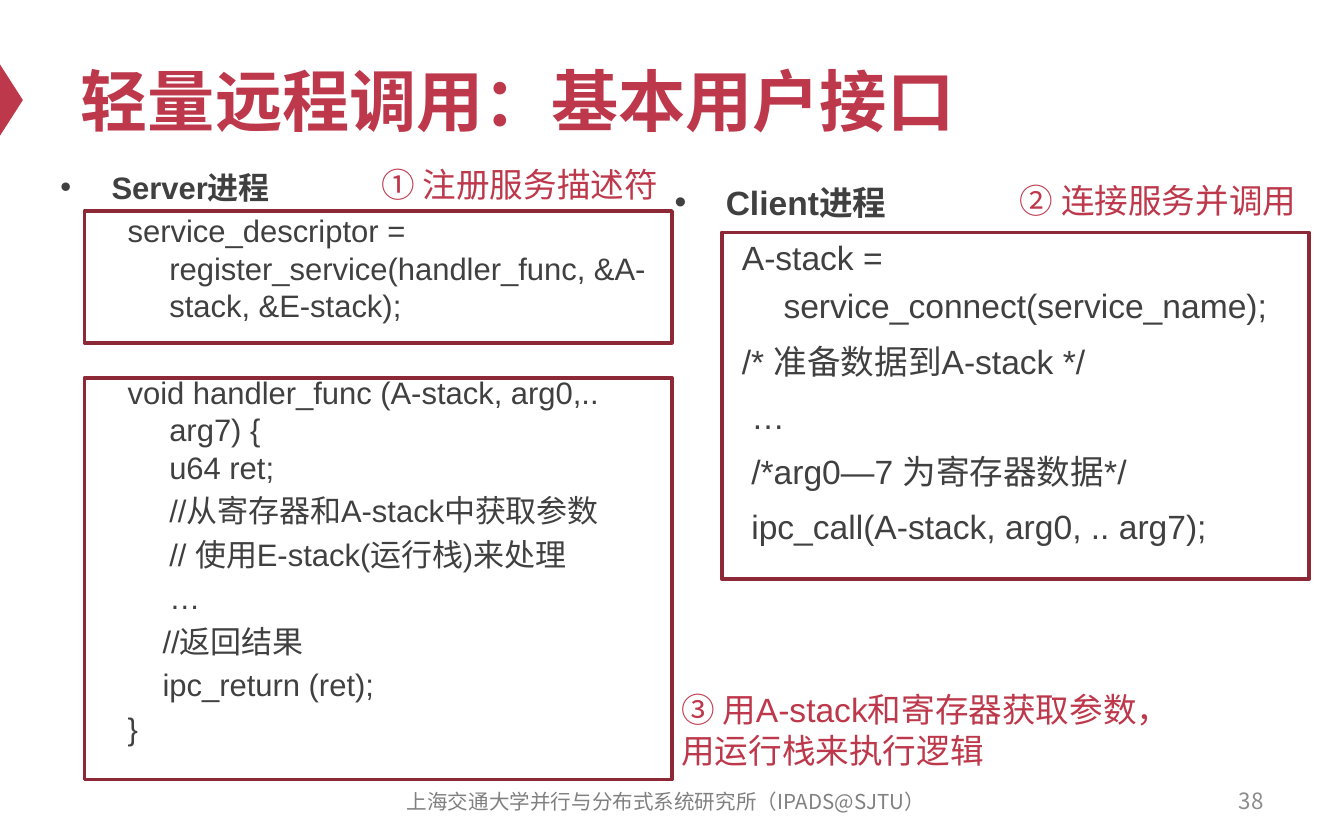
from dataclasses import dataclass

import lxml.etree
import pptx
import pptx.dml.color
import pptx.enum.shapes
import pptx.enum.text
import pptx.oxml.ns
import pptx.util
from pptx.util import Inches

COLORS = {
    "accent": "BE384B",
    "frame": "8D2937",
    "body": "404040",
    "footer": "808080",
    "number": "8C8C8C",
}
LATIN_FONT = "Arial"
CHINESE_FONT = "Noto Sans CJK SC"
ALIGN = pptx.enum.text.PP_ALIGN
ANCHOR = pptx.enum.text.MSO_ANCHOR


@dataclass(frozen=True)
class Box:
    left: float
    top: float
    width: float
    height: float

    def lengths(self) -> tuple:
        return tuple(Inches(v) for v in (self.left, self.top, self.width, self.height))


@dataclass(frozen=True)
class CodeLine:
    text: str
    margin: float = 0.81
    indent: float = -0.31
    extra_space: float = 0


@dataclass(frozen=True)
class Column:
    box: Box
    heading: str
    size: float
    line_height: float
    paragraph_gap: float
    lines: tuple[CodeLine, ...]


@dataclass(frozen=True)
class Label:
    box: Box
    lines: tuple[str, ...]
    size: float = 18
    color: str = "accent"
    font: str = LATIN_FONT
    align: ALIGN = ALIGN.LEFT
    anchor: ANCHOR = ANCHOR.TOP
    wrap: bool = False


COLUMNS = (
    Column(Box(0.35, 1.2, 4.74, 4.8), "Server进程", 16.6, 20, 3.3, (
        CodeLine("service_descriptor = register_service(handler_func, &A-stack, &E-stack);"),
        CodeLine("void handler_func (A-stack, arg0,.. arg7) {\nu64 ret;", extra_space=23.3),
        CodeLine("//从寄存器和A-stack中获取参数", indent=0),
        CodeLine("// 使用E-stack(运行栈)来处理", indent=0),
        CodeLine("…", indent=0),
        CodeLine("//返回结果", margin=0.76, indent=0),
        CodeLine("ipc_return (ret);", margin=0.76, indent=0),
        CodeLine("}"),
    )),
    Column(Box(4.92, 1.24, 4.84, 4.12), "Client进程", 18, 26, 3.6, (
        CodeLine("A-stack = service_connect(service_name);"),
        CodeLine("/* 准备数据到A-stack */"),
        CodeLine("…", margin=0.57, indent=0),
        CodeLine("/*arg0—7 为寄存器数据*/", margin=0.57, indent=0),
        CodeLine("ipc_call(A-stack, arg0, .. arg7);", margin=0.57, indent=0),
    )),
)
FRAMES = (
    Box(0.63, 1.57, 4.37, 0.98),
    Box(5.37, 1.73, 4.37, 2.58),
    Box(0.63, 2.81, 4.37, 2.99),
)
LABELS = (
    Label(Box(2.74, 1.17, 2.29, 0.4), ("① 注册服务描述符",)),
    Label(Box(7.49, 1.29, 2.29, 0.4), ("② 连接服务并调用",)),
    Label(Box(4.97, 5.08, 3.89, 0.71), ("③ 用A-stack和寄存器获取参数，", "用运行栈来执行逻辑")),
    Label(Box(2.79, 5.8, 4.33, 0.33), ("上海交通大学并行与分布式系统研究所（IPADS@SJTU）",),
          11, "footer", CHINESE_FONT, ALIGN.CENTER, ANCHOR.MIDDLE, True),
    Label(Box(7.17, 5.79, 2.33, 0.33), ("38",),
          12, "number", CHINESE_FONT, ALIGN.RIGHT, ANCHOR.MIDDLE, True),
)


def rgb(name: str) -> pptx.dml.color.RGBColor:
    return pptx.dml.color.RGBColor.from_string(COLORS[name])


def place(shape, box: Box) -> None:
    shape.left, shape.top, shape.width, shape.height = box.lengths()


def add_run(paragraph, text: str, size: float, color: str,
            bold: bool = False, font: str = LATIN_FONT) -> None:
    run = paragraph.add_run()
    run.text = text
    run.font.size = pptx.util.Pt(size)
    run.font.bold = bold
    run.font.color.rgb = rgb(color)
    run.font.name = font
    east_asian = lxml.etree.SubElement(run.font._element, pptx.oxml.ns.qn("a:ea"))
    east_asian.set("typeface", CHINESE_FONT)


def set_indent(paragraph, margin: float, indent: float) -> None:
    properties = paragraph._p.get_or_add_pPr()
    properties.set("marL", str(Inches(margin)))
    properties.set("indent", str(Inches(indent)))


def fill_title(shape, text: str) -> None:
    place(shape, Box(0.5, 0.25, 9, 0.98))
    frame = shape.text_frame
    frame.auto_size = pptx.enum.text.MSO_AUTO_SIZE.NONE
    frame.vertical_anchor = ANCHOR.MIDDLE
    paragraph = frame.paragraphs[0]
    paragraph.alignment = ALIGN.LEFT
    add_run(paragraph, text, 36, "accent", bold=True)


def fill_column(shape, column: Column) -> None:
    place(shape, column.box)
    frame = shape.text_frame
    frame.auto_size = pptx.enum.text.MSO_AUTO_SIZE.NONE
    heading = frame.paragraphs[0]
    heading.line_spacing = pptx.util.Pt(column.line_height)
    set_indent(heading, 0.38, -0.38)
    add_run(heading, column.heading, column.size, "body", bold=True)
    for line in column.lines:
        paragraph = frame.add_paragraph()
        paragraph.level = 1
        paragraph.line_spacing = pptx.util.Pt(column.line_height)
        paragraph.space_before = pptx.util.Pt(column.paragraph_gap + line.extra_space)
        set_indent(paragraph, line.margin, line.indent)
        lxml.etree.SubElement(paragraph._p.get_or_add_pPr(), pptx.oxml.ns.qn("a:buNone"))
        for index, part in enumerate(line.text.split("\n")):
            if index:
                paragraph.add_line_break()
            add_run(paragraph, part, column.size, "body")


def add_frame(slide, box: Box) -> None:
    shape = slide.shapes.add_shape(pptx.enum.shapes.MSO_SHAPE.RECTANGLE, *box.lengths())
    shape.shadow.inherit = False
    shape.fill.background()
    shape.line.color.rgb = rgb("frame")
    shape.line.width = pptx.util.Pt(2)


def add_label(slide, label: Label) -> None:
    frame = slide.shapes.add_textbox(*label.box.lengths()).text_frame
    frame.word_wrap = label.wrap
    frame.vertical_anchor = label.anchor
    for index, text in enumerate(label.lines):
        paragraph = frame.add_paragraph() if index else frame.paragraphs[0]
        paragraph.alignment = label.align
        add_run(paragraph, text, label.size, label.color, font=label.font)


def add_title_marker(slide) -> None:
    marker = slide.shapes.add_shape(
        pptx.enum.shapes.MSO_SHAPE.ISOSCELES_TRIANGLE, *Box(-0.18, 0.66, 0.53, 0.17).lengths())
    marker.rotation = 90
    marker.shadow.inherit = False
    marker.fill.solid()
    marker.fill.fore_color.rgb = rgb("accent")
    marker.line.fill.background()


def main() -> None:
    presentation = pptx.Presentation()
    presentation.slide_width = Inches(10)
    presentation.slide_height = Inches(6.25)
    two_content_layout = presentation.slide_layouts[3]
    slide = presentation.slides.add_slide(two_content_layout)
    add_title_marker(slide)
    fill_title(slide.shapes.title, "轻量远程调用：基本用户接口")
    for index, column in enumerate(COLUMNS, start=1):
        fill_column(slide.placeholders[index], column)
    for box in FRAMES:
        add_frame(slide, box)
    for label in LABELS:
        add_label(slide, label)
    presentation.save("out.pptx")


if __name__ == "__main__":
    main()
